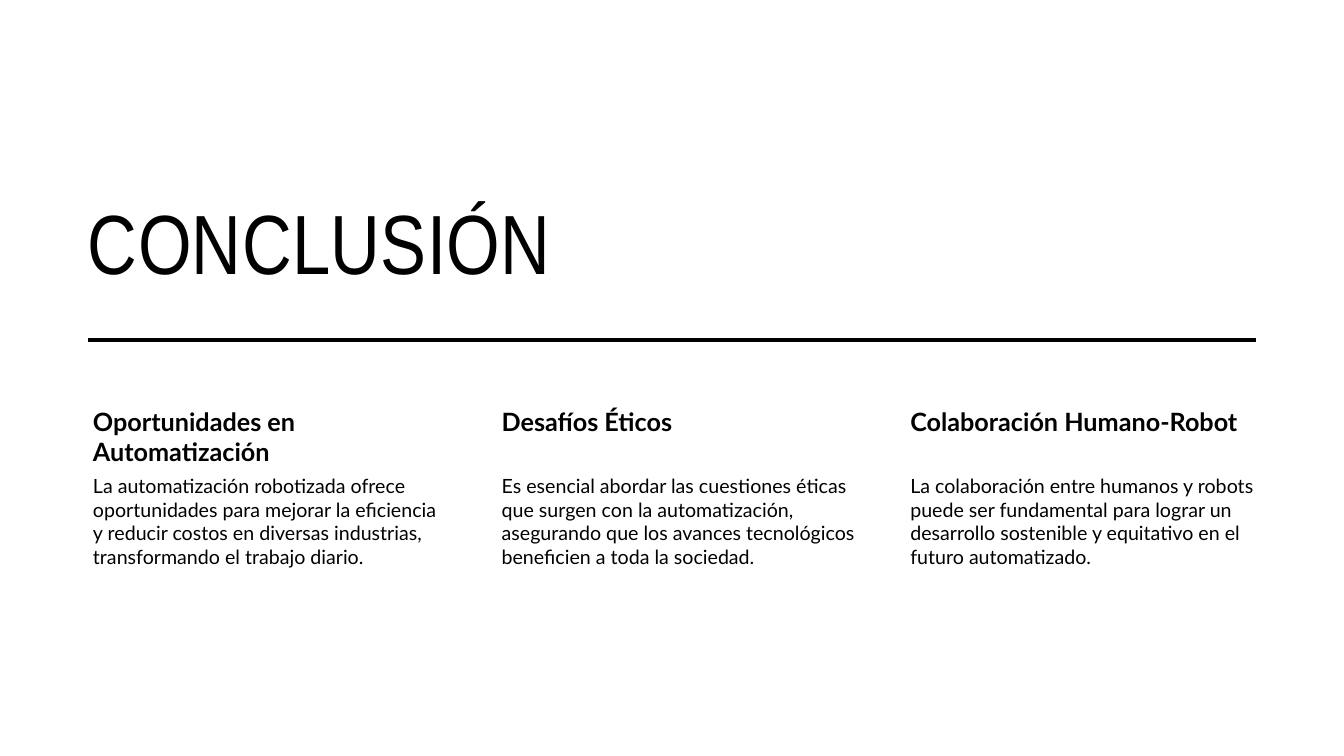
import pptx
import pptx.dml.color
import pptx.enum.shapes
import pptx.enum.text
import pptx.oxml.ns
import pptx.util
from lxml import etree

EMU_PER_PX = 914400 / 100.8
BLACK = "000000"
COLUMNS = [
    ("Oportunidades en Automatización",
     "La automatización robotizada ofrece oportunidades para mejorar la eficiencia "
     "y reducir costos en diversas industrias, transformando el trabajo diario."),
    ("Desafíos Éticos",
     "Es esencial abordar las cuestiones éticas que surgen con la automatización, "
     "asegurando que los avances tecnológicos beneficien a toda la sociedad."),
    ("Colaboración Humano-Robot",
     "La colaboración entre humanos y robots puede ser fundamental para lograr un "
     "desarrollo sostenible y equitativo en el futuro automatizado."),
]


def px(length):
    return pptx.util.Emu(round(length * EMU_PER_PX))


def color(hex_string):
    return pptx.dml.color.RGBColor.from_string(hex_string)


def add_text(slide, box, text, size, font_name, insets, bold=False):
    """Place one run of text; insets are left, top, right, bottom in px."""
    frame = slide.shapes.add_textbox(*map(px, box)).text_frame
    frame.word_wrap = True
    frame.margin_left, frame.margin_top, frame.margin_right, frame.margin_bottom = map(px, insets)
    run = frame.paragraphs[0].add_run()
    run.text = text
    run.font.name = font_name
    run.font.size = pptx.util.Pt(size)
    run.font.bold = bold
    run.font.color.rgb = color(BLACK)
    return frame


def add_title(slide, box):
    frame = add_text(slide, box, "CONCLUSIÓN", 60, "Arial Narrow", (10, 5, 10, 5))
    frame.vertical_anchor = pptx.enum.text.MSO_ANCHOR.BOTTOM
    frame.paragraphs[0].runs[0].font._element.set("spc", "30")


def add_rule(slide, left, right, top):
    rule = slide.shapes.add_connector(
        pptx.enum.shapes.MSO_CONNECTOR.STRAIGHT, px(left), px(top), px(right), px(top))
    rule.line.color.rgb = color(BLACK)
    rule.line.width = pptx.util.Pt(3.5)
    etree.SubElement(rule._element.spPr, pptx.oxml.ns.qn("a:effectLst"))


def add_column(slide, box, heading, body):
    left, top, width, height = box
    heading_height = 69
    add_text(slide, (left, top, width, heading_height), heading, 18, "Lato",
             (15, 3, 3, 3), bold=True)
    add_text(slide, (left, top + heading_height, width, height - heading_height),
             body, 14, "Lato", (15, 2, 2, 2))


def add_columns(slide, box):
    left, top, width, height = box
    gap = 37
    column_width = (width - gap * (len(COLUMNS) - 1)) / len(COLUMNS)
    for index, (heading, body) in enumerate(COLUMNS):
        column_left = left + index * (column_width + gap)
        add_column(slide, (column_left, top, column_width, height), heading, body)


def main():
    presentation = pptx.Presentation()
    presentation.slide_width = px(1344)
    presentation.slide_height = px(756)
    slide = presentation.slides.add_slide(presentation.slide_layouts[6])
    add_title(slide, (78, 141, 881, 155))
    add_columns(slide, (78, 403, 1189, 278))
    add_rule(slide, 88, 1256, 340)
    presentation.save("out.pptx")


if __name__ == "__main__":
    main()
